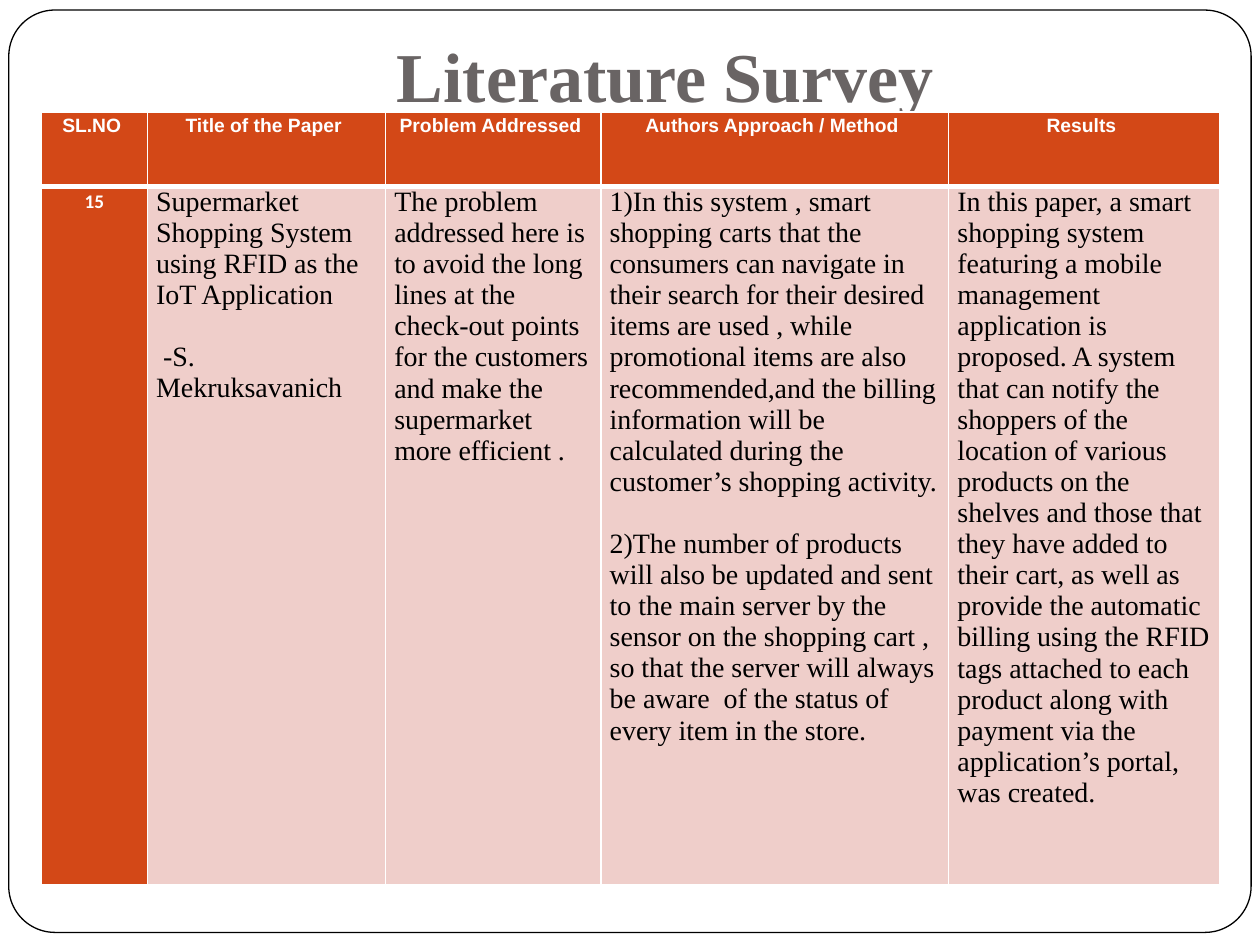
from dataclasses import dataclass

from lxml import etree
from pptx import Presentation
from pptx.dml.color import RGBColor
from pptx.enum.shapes import MSO_SHAPE
from pptx.enum.text import MSO_ANCHOR, PP_ALIGN
from pptx.oxml.ns import qn
from pptx.util import Inches, Pt

ROUND = MSO_SHAPE.ROUNDED_RECTANGLE
TOP = MSO_ANCHOR.TOP
LEFT, MID = PP_ALIGN.LEFT, PP_ALIGN.CENTER


@dataclass(frozen=True)
class Theme:
    white: str = "FFFFFF"
    black: str = "000000"
    grey: str = "696464"
    rust: str = "D34817"
    pink: str = "EFCECA"
    serif: str = "Times New Roman"
    sans: str = "Arial"
    label: str = "Calibri"
    title: int = 40
    body: int = 16
    head: int = 11
    gap: float = 17.7
    thin: int = 1
    thick: int = 3


LOOK = Theme()
COLS = [0.84, 1.89, 1.71, 2.76, 2.15]
ROWS = [0.59, 5.54]
HEADS = ["SL.NO ", "Title of the Paper ", "Problem Addressed ",
         "Authors Approach / Method ", "Results "]
PAPER = [
    ["15"],
    ["Supermarket Shopping System using RFID as the IoT Application",
     " -S. Mekruksavanich"],
    ["The problem addressed here is to avoid the long lines at the check-out "
     "points for the customers and make the supermarket more efficient ."],
    ["1)In this system , smart shopping carts that the consumers can navigate "
     "in their search for their desired items are used , while promotional "
     "items are also recommended,and the billing information will be "
     "calculated during the customer’s shopping activity.",
     "2)The number of products will also be updated and sent to the main "
     "server by the sensor on the shopping cart , so that the server will "
     "always be aware  of the status of every item in the store."],
    ["In this paper, a smart shopping system featuring a mobile management "
     "application is proposed. A system that can notify the shoppers of the "
     "location of various products on the shelves and those that they have "
     "added to their cart, as well as provide the automatic billing using the "
     "RFID tags attached to each product along with payment via the "
     "application’s portal, was created."],
]


def paint(fill, tone):
    fill.solid()
    fill.fore_color.rgb = RGBColor.from_string(tone)


def write(frame, texts, font, size, tone, bold=False, align=LEFT, lead=1.0,
          gap=0, pads=(0.07, 0, 0.07, 0)):
    frame.word_wrap = True
    frame.vertical_anchor = TOP
    (frame.margin_left, frame.margin_top,
     frame.margin_right, frame.margin_bottom) = map(Inches, pads)
    for i, text in enumerate(texts):
        para = frame.add_paragraph() if i else frame.paragraphs[0]
        para.alignment = align
        para.line_spacing = lead
        para.space_before = Pt(gap if i else 0)
        run = para.add_run()
        run.text = text
        run.font.name, run.font.size, run.font.bold = font, Pt(size), bold
        run.font.color.rgb = RGBColor.from_string(tone)


def edge(cell, base):
    props = cell._tc.get_or_add_tcPr()
    sides = {"lnL": LOOK.thin, "lnR": LOOK.thin, "lnT": LOOK.thin, "lnB": base}
    for i, (side, width) in enumerate(sides.items()):
        line = etree.Element(qn(f"a:{side}"), w=str(Pt(width)))
        fill = etree.SubElement(line, qn("a:solidFill"))
        etree.SubElement(fill, qn("a:srgbClr"), val=LOOK.white)
        props.insert(i, line)


def draw_frame(slide, box):
    card = slide.shapes.add_shape(ROUND, *box)
    card.shadow.inherit = False
    card.adjustments[0] = 0.05
    paint(card.fill, LOOK.white)
    card.line.color.rgb = RGBColor.from_string(LOOK.black)
    card.line.width = Pt(0.75)
    slide.shapes._spTree.insert(2, card._element)


def draw_title(slide, box):
    title = slide.shapes.title
    title.left, title.top, title.width, title.height = box
    write(title.text_frame, ["Literature Survey"], LOOK.serif, LOOK.title,
          LOOK.grey, bold=True, align=MID, pads=(0.6, 0.18, 0.1, 0.1))


def draw_table(slide, box):
    left, top, width, height = box
    grid = slide.shapes.add_table(len(ROWS), len(COLS), *box).table
    grid.first_row = grid.horz_banding = False
    for col, part in zip(grid.columns, COLS):
        col.width = int(width * part / sum(COLS))
    for row, part in zip(grid.rows, ROWS):
        row.height = int(height * part / sum(ROWS))
    lines = [[[head] for head in HEADS], PAPER]
    for r, line in enumerate(lines):
        for c, texts in enumerate(line):
            cell = grid.cell(r, c)
            strong = r == 0 or c == 0
            paint(cell.fill, LOOK.rust if strong else LOOK.pink)
            edge(cell, LOOK.thin if r else LOOK.thick)
            if strong:
                write(cell.text_frame, texts, LOOK.label if r else LOOK.sans,
                      LOOK.head, LOOK.white, bold=True, align=MID, lead=1.15)
            else:
                write(cell.text_frame, texts, LOOK.serif, LOOK.body,
                      LOOK.black, gap=LOOK.gap)
            cell.margin_left = cell.margin_right = Inches(0.07)
            cell.margin_top = cell.margin_bottom = 0
            cell.vertical_anchor = TOP


def main():
    deck = Presentation()
    deck.slide_width, deck.slide_height = Inches(10), Inches(7.5)
    slide = deck.slides.add_slide(deck.slide_layouts[5])
    paint(slide.background.fill, LOOK.white)
    draw_frame(slide, [Inches(n) for n in (0.07, 0.08, 9.86, 7.32)])
    draw_title(slide, [Inches(n) for n in (0.42, 0.08, 9.22, 1.11)])
    size = sum(COLS), sum(ROWS)
    draw_table(slide, [Inches(n) for n in (0.33, 0.89, *size)])
    deck.save("out.pptx")


if __name__ == "__main__":
    main()
